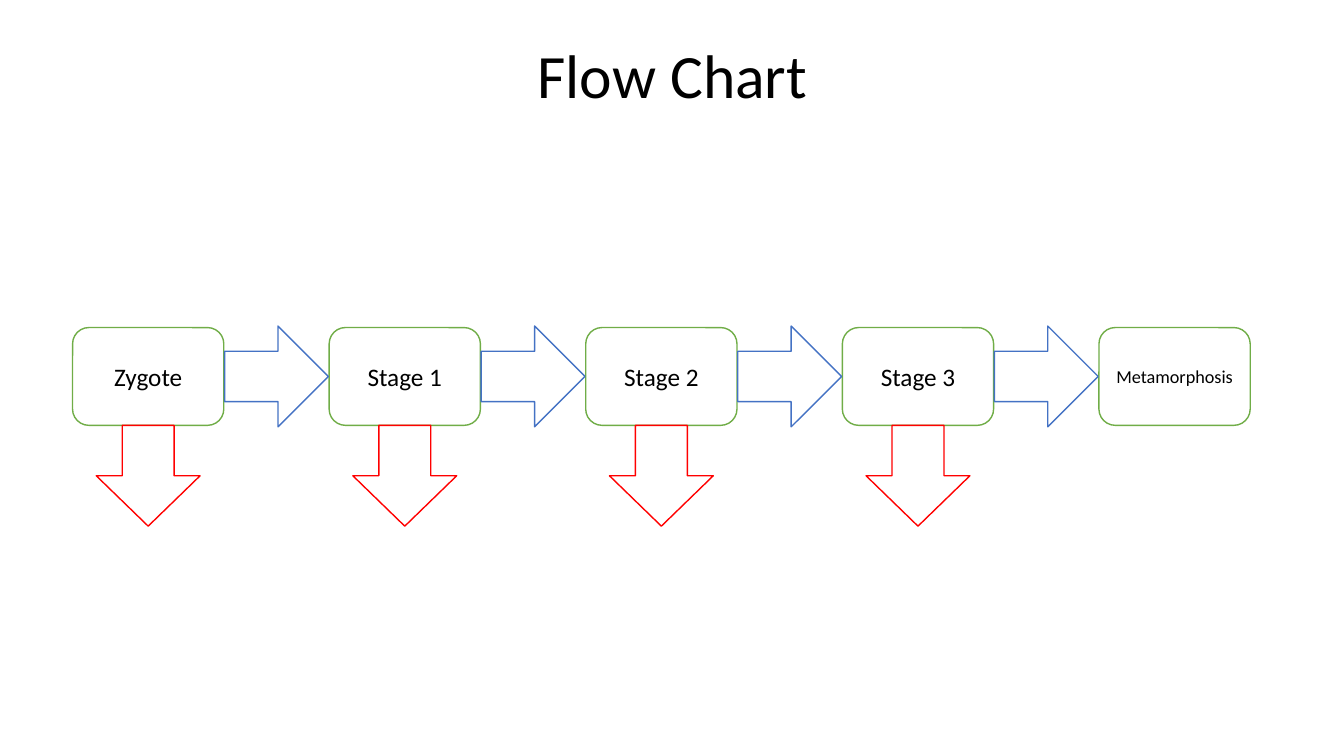
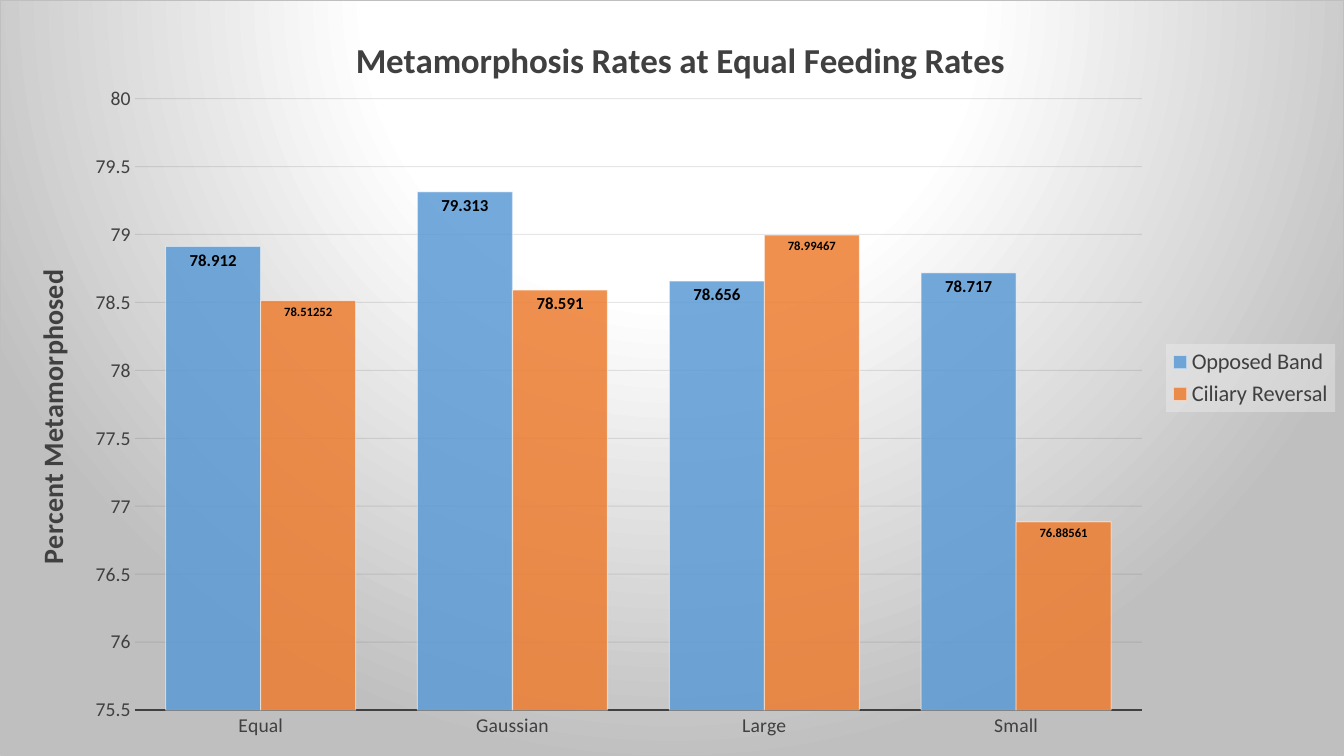
from lxml import etree
from pptx import Presentation
from pptx.chart.data import CategoryChartData
from pptx.dml.color import RGBColor
from pptx.enum.chart import XL_CHART_TYPE, XL_LABEL_POSITION, XL_LEGEND_POSITION, XL_TICK_MARK
from pptx.enum.shapes import MSO_SHAPE
from pptx.enum.text import MSO_ANCHOR, PP_ALIGN
from pptx.oxml import parse_xml
from pptx.oxml.ns import nsdecls, qn
from pptx.util import Inches, Pt

ROUNDED, RIGHT, DOWN = MSO_SHAPE.ROUNDED_RECTANGLE, MSO_SHAPE.RIGHT_ARROW, MSO_SHAPE.DOWN_ARROW
CENTER, TOP, MIDDLE = PP_ALIGN.CENTER, MSO_ANCHOR.TOP, MSO_ANCHOR.MIDDLE
COLUMNS = XL_CHART_TYPE.COLUMN_CLUSTERED
INSIDE_END, LEGEND_RIGHT = XL_LABEL_POSITION.INSIDE_END, XL_LEGEND_POSITION.RIGHT
NO_TICK = XL_TICK_MARK.NONE

FONT = "Calibri"
COLORS = {
    "white": "FFFFFF", "black": "000000", "text": "404040", "grid": "0D0D0D",
    "edge": "BFBFBF", "legend": "F2F2F2", "stage": "70AD47", "next": "4472C4",
    "loss": "FF0000", "opposed": "5B9BD5", "ciliary": "ED7D31",
}

STAGES = [("Zygote", 18), ("Stage 1", 18), ("Stage 2", 18), ("Stage 3", 18), ("Metamorphosis", 13)]
CATEGORIES = ["Equal", "Gaussian", "Large", "Small"]
# name, values, colour, label size, label number format
SERIES = [
    ("Opposed Band", (78.912, 79.313, 78.656, 78.717), "opposed", 12, "#,##0.000"),
    ("Ciliary Reversal", (78.51252, 78.591, 78.99467, 76.88561), "ciliary", 9, "General"),
]


def rgb(name):
    return RGBColor.from_string(COLORS[name])


def style_font(font, size, color="text", bold=False):
    font.name, font.size, font.bold = FONT, Pt(size), bold
    font.color.rgb = rgb(color)


def add_text(tf, text, size, color="black", bold=False, align=CENTER, spacing=None):
    p = tf.paragraphs[0]
    p.alignment = align
    if spacing:
        p.line_spacing = spacing
    r = p.add_run()
    r.text = text
    style_font(r.font, size, color, bold)


def add_title(s, text, x, y, w, h):
    tf = s.shapes.add_textbox(Inches(x), Inches(y), Inches(w), Inches(h)).text_frame
    tf.word_wrap, tf.vertical_anchor = True, TOP
    add_text(tf, text, 44, spacing=0.9)


def add_outline(s, kind, x, y, w, h, color):
    sp = s.shapes.add_shape(kind, Inches(x), Inches(y), Inches(w), Inches(h))
    sp.shadow.inherit = False
    sp.fill.solid()
    sp.fill.fore_color.rgb = rgb("white")
    sp.line.color.rgb = rgb(color)
    sp.line.width = Pt(1)
    return sp


def add_flow(s, x, y, w):
    """Row of stages, an arrow to each next stage and a loss arrow below."""
    box_w, box_h, arrow_w, arrow_h = 1.5, 0.97, 1.03, 1
    pitch = (w - box_w) / (len(STAGES) - 1)
    lefts = [x + i * pitch for i in range(len(STAGES))]
    for left, (name, size) in zip(lefts, STAGES):
        tf = add_outline(s, ROUNDED, left, y, box_w, box_h, "stage").text_frame
        tf.word_wrap, tf.vertical_anchor = True, MIDDLE
        add_text(tf, name, size)
    for left in lefts[:-1]:
        gap_x = left + box_w + (pitch - box_w - arrow_w) / 2
        add_outline(s, RIGHT, gap_x, y + (box_h - arrow_h) / 2, arrow_w, arrow_h, "next")
        add_outline(s, DOWN, left + (box_w - arrow_w) / 2, y + box_h, arrow_w, arrow_h, "loss")


def set_alpha(element, percent):
    for clr in element.iter(qn("a:srgbClr")):
        etree.SubElement(clr, qn("a:alpha")).set("val", str(percent * 1000))


def set_layout(element, index, inner=False, **place):
    """Place a chart part by fractions of the chart area."""
    for old in element.findall(qn("c:layout")):
        element.remove(old)
    layout = etree.Element(qn("c:layout"))
    manual = etree.SubElement(layout, qn("c:manualLayout"))
    values = {"layoutTarget": "inner"} if inner else {}
    values.update(xMode="edge", yMode="edge", **place)
    for tag, value in values.items():
        etree.SubElement(manual, qn("c:" + tag)).set("val", str(value))
    element.insert(index, layout)


def add_backdrop(chart):
    """Radial gradient and border of the chart area."""
    stops = "".join(
        f'<a:gs pos="{pos}000"><a:srgbClr val="{COLORS[c]}"/></a:gs>'
        for pos, c in ((0, "white"), (39, "white"), (100, "edge")))
    chart._chartSpace.find(qn("c:txPr")).addprevious(parse_xml(
        f'<c:spPr {nsdecls("c", "a")}><a:gradFill><a:gsLst>{stops}</a:gsLst>'
        '<a:path path="circle"><a:fillToRect l="50000" t="-80000" r="50000" b="180000"/></a:path>'
        f'</a:gradFill><a:ln w="9525"><a:solidFill><a:srgbClr val="{COLORS["edge"]}"/>'
        '</a:solidFill></a:ln></c:spPr>'))


def style_axes(chart):
    cat, val = chart.category_axis, chart.value_axis
    for axis in (cat, val):
        axis.major_tick_mark = axis.minor_tick_mark = NO_TICK
        style_font(axis.tick_labels.font, 14)
    cat.format.line.color.rgb = rgb("text")
    cat.format.line.width = Pt(1.5)
    val.format.line.fill.background()
    val.minimum_scale, val.maximum_scale, val.major_unit = 75.5, 80, 0.5
    val.tick_labels.number_format = "General"
    val.tick_labels.number_format_is_linked = False
    grid = val.major_gridlines.format.line
    grid.color.rgb = rgb("grid")
    grid.width = Pt(0.75)
    set_alpha(val.major_gridlines._xAx.find(qn("c:majorGridlines")), 10)
    # Axis title, read upwards
    add_text(val.axis_title.text_frame, "Percent Metamorphosed", 20, "text", True)
    title = val.axis_title._element
    body = next(title.iter(qn("a:bodyPr")))
    body.set("rot", "-5400000")
    body.set("vert", "horz")
    set_layout(title, 1, x=0.02, y=0.35)


def style_series(chart):
    plot = chart.plots[0]
    plot.gap_width, plot.overlap, plot.vary_by_categories = 65, 0, False
    for ser, (_, _, color, size, fmt) in zip(plot.series, SERIES):
        ser.format.fill.solid()
        ser.format.fill.fore_color.rgb = rgb(color)
        set_alpha(ser._element.spPr, 85)
        line = ser.format.line
        line.color.rgb = rgb("white")
        line.width = Pt(0.75)
        set_alpha(ser._element.spPr.find(qn("a:ln")), 50)
        labels = ser.data_labels
        labels.show_value, labels.position = True, INSIDE_END
        labels.number_format, labels.number_format_is_linked = fmt, False
        style_font(labels.font, size, "black", True)
    # The rounded Gaussian value has a larger label
    label = plot.series[1].points[1].data_label
    style_font(label.font, 12, "black", True)
    label.position = INSIDE_END


def style_legend(chart):
    chart.has_legend = True
    legend = chart.legend
    legend.position, legend.include_in_layout = LEGEND_RIGHT, False
    style_font(legend.font, 16)
    fill = parse_xml(
        f'<c:spPr {nsdecls("c", "a")}><a:solidFill><a:srgbClr val="{COLORS["legend"]}"/>'
        '</a:solidFill></c:spPr>')
    set_alpha(fill, 39)
    legend._element.find(qn("c:txPr")).addprevious(fill)


def add_rates_chart(s, x, y, w, h):
    data = CategoryChartData()
    data.categories = CATEGORIES
    for name, values, *_ in SERIES:
        data.add_series(name, values)
    chart = s.shapes.add_chart(COLUMNS, Inches(x), Inches(y), Inches(w), Inches(h), data).chart
    style_font(chart.font, 10, "black")
    add_backdrop(chart)
    add_text(chart.chart_title.text_frame, "Metamorphosis Rates at Equal Feeding Rates", 25, "text", True)
    set_layout(chart.chart_title._element, 1, x=0.26, y=0.04)
    style_axes(chart)
    style_series(chart)
    style_legend(chart)
    plot_area = chart._chartSpace.chart.plotArea
    set_layout(plot_area, 0, inner=True, x=0.1, y=0.13, w=0.75, h=0.81)


def main():
    prs = Presentation()
    prs.slide_width, prs.slide_height = Inches(13.33), Inches(7.5)
    blank = prs.slide_layouts[6]

    # Flow chart
    s = prs.slides.add_slide(blank)
    add_flow(s, 0.72, 3.25, 11.68)
    add_title(s, "Flow Chart", 0.92, 0.4, 11.5, 1.45)

    # Metamorphosis rates
    s = prs.slides.add_slide(blank)
    add_rates_chart(s, 0, 0, 13.33, 7.5)

    prs.save("out.pptx")


if __name__ == "__main__":
    main()
